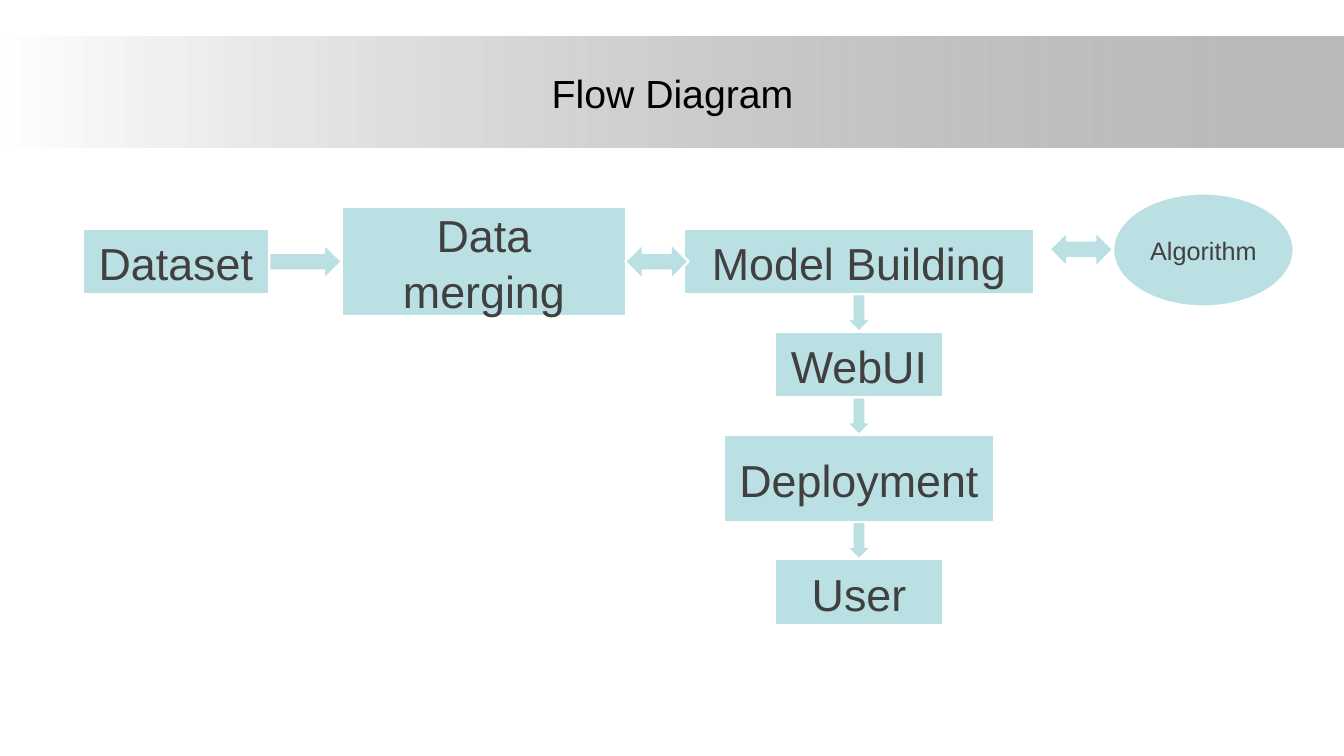
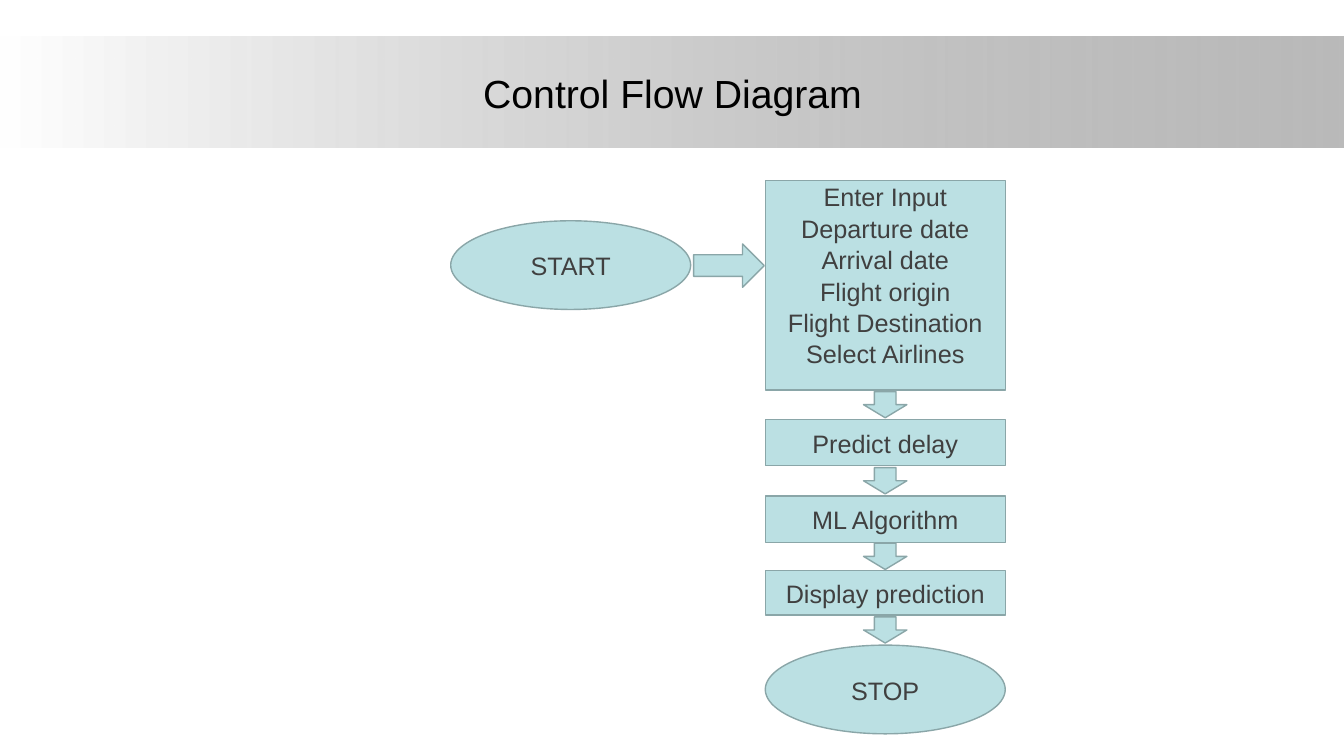
from lxml.etree import SubElement
from pptx import Presentation
from pptx.dml.color import RGBColor
from pptx.enum.shapes import MSO_SHAPE
from pptx.enum.text import MSO_ANCHOR, PP_ALIGN
from pptx.oxml.ns import qn
from pptx.util import Inches, Pt

HUES = {"white": "FFFFFF", "gray": "808080", "black": "000000",
        "teal": "BBE0E3", "edge": "8AA6A8", "ink": "404040"}
RGB = {name: RGBColor.from_string(code) for name, code in HUES.items()}
BOX = MSO_SHAPE.FLOWCHART_PROCESS
OVAL = MSO_SHAPE.OVAL
DOWN = MSO_SHAPE.DOWN_ARROW
RIGHT = MSO_SHAPE.RIGHT_ARROW
BOTH = MSO_SHAPE.LEFT_RIGHT_ARROW
FRAME = {"vertical_anchor": MSO_ANCHOR.MIDDLE, "word_wrap": True,
         "margin_left": Inches(0.12), "margin_right": Inches(0.12),
         "margin_top": Inches(0.05), "margin_bottom": Inches(0.05)}

deck = Presentation()
deck.slide_width = Inches(13.33)
deck.slide_height = Inches(7.5)


def write(shape, text, size, hue, space=1.0):
    frame = shape.text_frame
    for name, value in FRAME.items():
        setattr(frame, name, value)
    frame.text = text
    for para in frame.paragraphs:
        para.alignment = PP_ALIGN.CENTER
        para.line_spacing = space
        font = para.runs[0].font
        font.name = "Arial"
        font.size = Pt(size)
        font.color.rgb = RGB[hue]


def draw(page, kind, spot, look, text="", size=18):
    shape = page.shapes.add_shape(kind, *map(Inches, spot))
    shape.shadow.inherit = False
    shape.fill.solid()
    shape.fill.fore_color.rgb = RGB["teal"]
    shape.line.color.rgb = RGB[look["line"]]
    shape.line.width = Pt(look["width"])
    if text:
        write(shape, text, size, "ink", 1.04)
        shape.text_frame.word_wrap = kind != OVAL
    return shape


FLOW = {
    "title": "Flow Diagram",
    "look": {"line": "white", "width": 1.5},
    "mid": 8.52,
    "arrow": (0.25, 0.37),
    "stack": [(BOX, 2.27, 3.48, 0.65, "Model Building", 32),
              (BOX, 3.29, 1.67, 0.65, "WebUI", 32),
              (BOX, 4.32, 2.67, 0.86, "Deployment", 32),
              (BOX, 5.55, 1.67, 0.65, "User", 32)],
    "side": [(OVAL, (11.04, 1.92, 1.79, 1.12), "Algorithm", 18),
             (BOX, (0.82, 2.27, 1.85, 0.65), "Dataset", 32),
             (BOX, (3.39, 2.05, 2.82, 1.09), "Data merging", 32),
             (RIGHT, (2.67, 2.42, 0.72, 0.35), "", 18),
             (BOTH, (6.2, 2.42, 0.63, 0.35), "", 18),
             (BOTH, (10.41, 2.3, 0.63, 0.35), "", 18)],
}
INPUT = "\n".join(["Enter Input", "Departure date", "Arrival date",
                   "Flight origin", "Flight Destination", "Select Airlines"])
CONTROL = {
    "title": "Control Flow Diagram",
    "look": {"line": "edge", "width": 1},
    "mid": 8.78,
    "arrow": (0.43, 0.26),
    "stack": [(BOX, 1.79, 2.38, 2.08, INPUT, 18),
              (BOX, 4.16, 2.38, 0.46, "Predict delay", 18),
              (BOX, 4.92, 2.38, 0.46, "ML Algorithm", 18),
              (BOX, 5.66, 2.38, 0.44, "Display prediction", 18),
              (OVAL, 6.4, 2.38, 0.88, "STOP", 18)],
    "side": [(OVAL, (4.47, 2.19, 2.38, 0.88), "START", 18),
             (RIGHT, (6.88, 2.42, 0.7, 0.43), "", 18)],
}

for plan in (FLOW, CONTROL):
    page = deck.slides.add_slide(deck.slide_layouts[6])
    look, mid = plan["look"], plan["mid"]

    band = page.shapes.add_shape(MSO_SHAPE.RECTANGLE, 0, Inches(0.36),
                                 deck.slide_width, Inches(1.1))
    band.shadow.inherit = False
    band.line.fill.background()
    band.fill.gradient()
    band.fill.gradient_angle = 0
    for stop, hue, place in zip(band.fill.gradient_stops, ("white", "gray"), (0, 1)):
        stop.color.rgb = RGB[hue]
        stop.position = place
    tint = band.element.findall(".//" + qn("a:srgbClr"))[-1]
    SubElement(tint, qn("a:alpha")).set("val", "54000")

    title = page.shapes.add_textbox(Inches(0.67), Inches(0.3), Inches(12), Inches(1.25))
    write(title, plan["title"], 28, "black")

    for kind, top, wide, high, text, size in plan["stack"]:
        node = draw(page, kind, (mid - wide / 2, top, wide, high), look, text, size)
        if text == INPUT:
            node.text_frame.vertical_anchor = MSO_ANCHOR.TOP
            node.text_frame.margin_top = Inches(0)

    wide, high = plan["arrow"]
    for above, below in zip(plan["stack"], plan["stack"][1:]):
        center = (above[1] + above[3] + below[1]) / 2
        draw(page, DOWN, (mid - wide / 2, center - high / 2, wide, high), look)

    for kind, spot, text, size in plan["side"]:
        draw(page, kind, spot, look, text, size)

deck.save("out.pptx")
